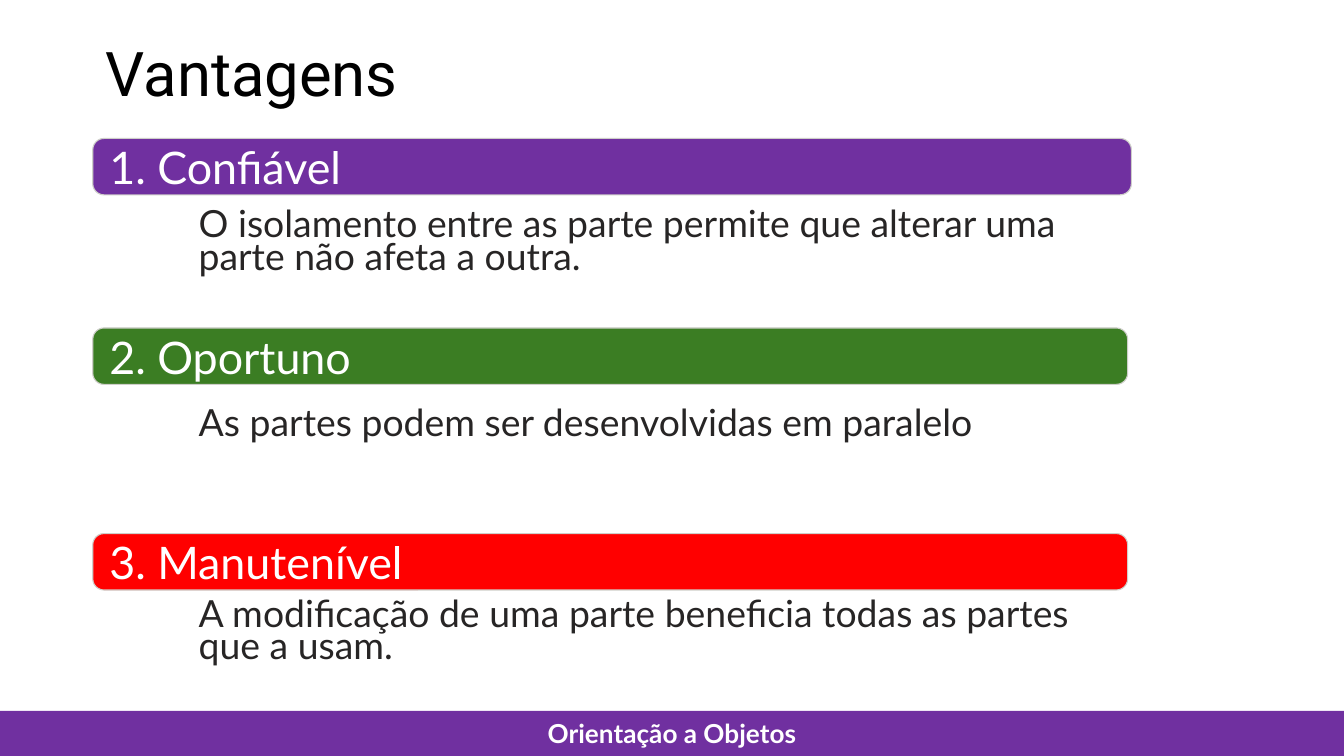
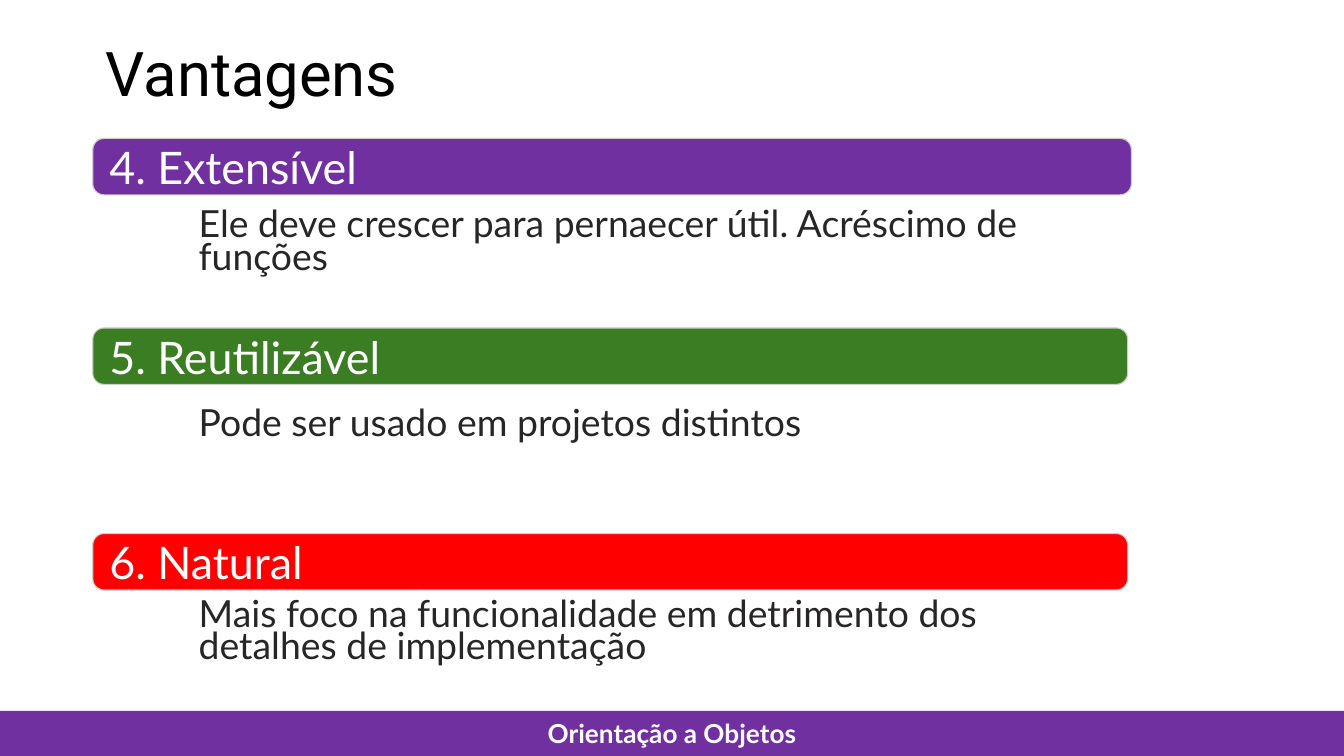
from dataclasses import dataclass

from pptx import Presentation
from pptx.dml.color import RGBColor
from pptx.enum.shapes import MSO_SHAPE
from pptx.enum.text import MSO_ANCHOR, MSO_AUTO_SIZE, PP_ALIGN
from pptx.util import Inches, Pt


@dataclass(frozen=True)
class Theme:
    purple: str = "7030A0"
    green: str = "3B7D23"
    red: str = "FF0000"
    edge: str = "CECEC9"
    white: str = "FFFFFF"
    black: str = "000000"
    ink: str = "272525"
    sans: str = "Lato"
    head: str = "Roboto"
    title: int = 33
    label: int = 24
    body: int = 20
    foot: int = 14
    lead: float = 17.5


# Grid: one column is the side margin, one row is a tenth of an inch
COL, ROW = 0.69, 0.1
WIDE, HIGH = 10, 5.625


class Deck:
    def __init__(self, theme):
        self.theme = theme
        self.deck = Presentation()
        self.deck.slide_width = Inches(WIDE)
        self.deck.slide_height = Inches(HIGH)
        self.slide = None

    def area(self, col, row, cols, rows):
        return [Inches(n) for n in (col * COL, row * ROW, cols * COL, rows * ROW)]

    def label(self, shape, text, font, color, para=None, frame=None):
        box = shape.text_frame
        line = box.paragraphs[0]
        line.text = text
        parts = (
            (box, {"word_wrap": True, **(frame or {})}),
            (line, {"alignment": PP_ALIGN.LEFT, **(para or {})}),
            (line.runs[0].font, font),
        )
        for part, style in parts:
            for name, value in style.items():
                setattr(part, name, value)
        line.runs[0].font.color.rgb = RGBColor.from_string(color)

    def block(self, kind, area, fill):
        shape = self.slide.shapes.add_shape(kind, *area)
        shape.shadow.inherit = False
        shape.fill.solid()
        shape.fill.fore_color.rgb = RGBColor.from_string(fill)
        shape.line.fill.background()
        return shape

    def footer(self, text):
        look = self.theme
        area = self.area(0, 52.9, WIDE / COL, 3.4)
        shape = self.block(MSO_SHAPE.RECTANGLE, area, look.purple)
        self.label(shape, text,
                   {"name": look.sans, "size": Pt(look.foot), "bold": True},
                   look.white, {"alignment": PP_ALIGN.CENTER},
                   {"vertical_anchor": MSO_ANCHOR.TOP,
                    "auto_size": MSO_AUTO_SIZE.SHAPE_TO_FIT_TEXT})

    def title(self, text):
        look = self.theme
        shape = self.slide.shapes.add_textbox(*self.area(1, 2.7, 12.5, 7.1))
        self.label(shape, text, {"name": look.head, "size": Pt(look.title)},
                   look.black, {"line_spacing": 0.9})

    def band(self, text, row, cols, fill):
        look = self.theme
        area = self.area(1, row, cols, 4.2)
        shape = self.block(MSO_SHAPE.ROUNDED_RECTANGLE, area, fill)
        shape.adjustments[0] = 0.2
        shape.line.color.rgb = RGBColor.from_string(look.edge)
        shape.line.width = Pt(0.6)
        self.label(shape, text, {"name": look.sans, "size": Pt(look.label)},
                   look.white, frame={"vertical_anchor": MSO_ANCHOR.MIDDLE})

    def body(self, text, row):
        look = self.theme
        shape = self.slide.shapes.add_textbox(*self.area(2, row, 10.16, 4.9))
        self.label(shape, text, {"name": look.sans, "size": Pt(look.body)},
                   look.ink, {"line_spacing": Pt(look.lead)})

    def page(self, title, footer):
        self.slide = self.deck.slides.add_slide(self.deck.slide_layouts[6])
        self.footer(footer)
        self.title(title)


PAGES = (
    (
        ("Confiável", "O isolamento entre as parte permite que alterar uma "
                      "parte não afeta a outra."),
        ("Oportuno", "As partes podem ser desenvolvidas em paralelo"),
        ("Manutenível", "A modificação de uma parte beneficia todas as partes "
                        "que a usam."),
    ),
    (
        ("Extensível", "Ele deve crescer para pernaecer útil. "
                       "Acréscimo de funções"),
        ("Reutilizável", "Pode ser usado em projetos distintos"),
        ("Natural", "Mais foco na funcionalidade em detrimento dos "
                    "detalhes de implementação"),
    ),
)


def main():
    theme = Theme()
    show = Deck(theme)
    # Band row, band width, body row and colour of each slot
    slots = (
        (10.3, 11.2, 15.3, theme.purple),
        (24.4, 11.16, 30.1, theme.green),
        (39.7, 11.16, 44.3, theme.red),
    )
    count = 0
    for items in PAGES:
        show.page("Vantagens", "Orientação a Objetos")
        for (name, text), (top, cols, low, fill) in zip(items, slots):
            count += 1
            show.band(f"{count}. {name}", top, cols, fill)
            show.body(text, low)
    show.deck.save("out.pptx")


if __name__ == "__main__":
    main()
